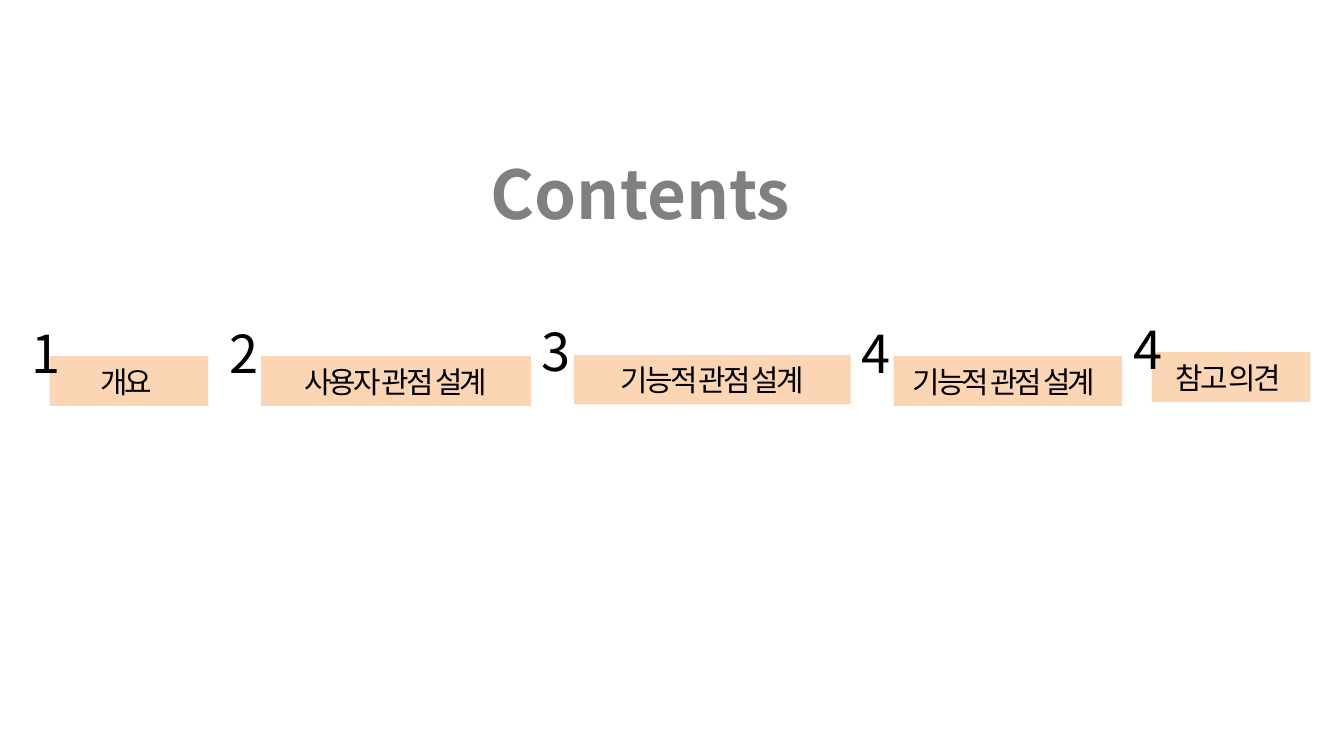
from collections import namedtuple

from lxml import etree
from pptx import Presentation
from pptx.dml.color import RGBColor
from pptx.enum.shapes import MSO_SHAPE
from pptx.enum.text import MSO_ANCHOR, MSO_AUTO_SIZE, PP_ALIGN
from pptx.oxml.ns import qn
from pptx.util import Pt

RECTANGLE = MSO_SHAPE.RECTANGLE
TOP = MSO_ANCHOR.TOP
GROW = MSO_AUTO_SIZE.SHAPE_TO_FIT_TEXT
LEFT, CENTER = PP_ALIGN.LEFT, PP_ALIGN.CENTER

EMU_PER_PX = 4572
FONT = "Noto Sans CJK KR"
COLORS = {"title": "808080", "bar": "FCD5B5", "text": "000000"}
TITLE_ONLY = 5

Box = namedtuple("Box", "left top width height")
Item = namedtuple("Item", "number label bar label_shift label_width number_shift number_width")

ITEMS = [
    Item("1", "개요", Box(74, 530, 236, 74), -8, 244, -47, 94),
    Item("4", "기능적 관점 설계", Box(1330, 530, 340, 74), -13, 354, -68, 136),
    Item("3", "기능적 관점 설계", Box(854, 528, 412, 74), 28, 356, -68, 138),
    Item("2", "사용자 관점 설계", Box(388, 530, 402, 74), 28, 346, -66, 134),
    Item("4", "참고 의견", Box(1714, 524, 236, 74), -8, 244, -47, 94),
]


def emu(box):
    return [value * EMU_PER_PX for value in box]


def write_text(shape, text, size, color, align, bold=False, spacing=None):
    text_frame = shape.text_frame
    text_frame.text = text
    text_frame.word_wrap = True
    text_frame.auto_size = GROW
    text_frame.vertical_anchor = TOP
    paragraph = text_frame.paragraphs[0]
    paragraph.alignment = align
    run = paragraph.runs[0]
    run.font.size = Pt(size)
    run.font.bold = bold
    run.font.name = FONT
    run.font.color.rgb = RGBColor.from_string(COLORS[color])
    properties = run.font._element
    etree.SubElement(properties, qn("a:ea")).set("typeface", FONT)
    if spacing is not None:
        properties.set("spc", str(spacing))


def add_title(slide, box):
    title = slide.shapes.title
    title.left, title.top, title.width, title.height = emu(box)
    write_text(title, "Contents", 36, "title", CENTER, bold=True)


def add_item(slide, item):
    left, top, width, height = item.bar
    shapes = slide.shapes.add_group_shape().shapes

    bar = shapes.add_shape(RECTANGLE, *emu(item.bar))
    bar.shadow.inherit = False
    bar.fill.solid()
    bar.fill.fore_color.rgb = RGBColor.from_string(COLORS["bar"])
    bar.line.fill.background()

    label_box = Box(left + item.label_shift, top + 1, item.label_width, height)
    label = shapes.add_textbox(*emu(label_box))
    write_text(label, item.label, 16, "text", CENTER, spacing=-150)

    number_box = Box(left + item.number_shift, top - 62, item.number_width, 114)
    number = shapes.add_textbox(*emu(number_box))
    write_text(number, item.number, 28, "text", LEFT)


def main():
    presentation = Presentation()
    presentation.slide_width = 2000 * EMU_PER_PX
    presentation.slide_height = 1125 * EMU_PER_PX
    slide = presentation.slides.add_slide(presentation.slide_layouts[TITLE_ONLY])
    add_title(slide, Box(670, 216, 566, 142))
    for item in ITEMS:
        add_item(slide, item)
    presentation.save("out.pptx")


if __name__ == "__main__":
    main()
